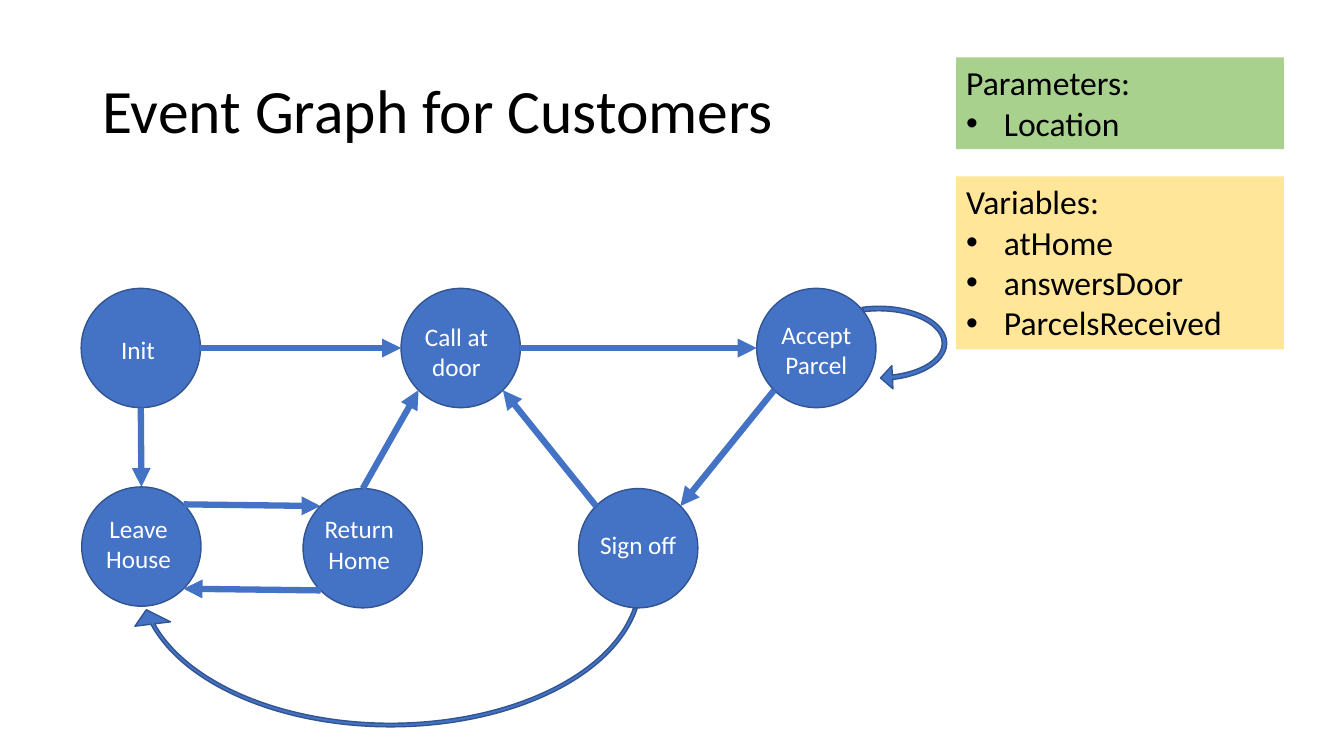
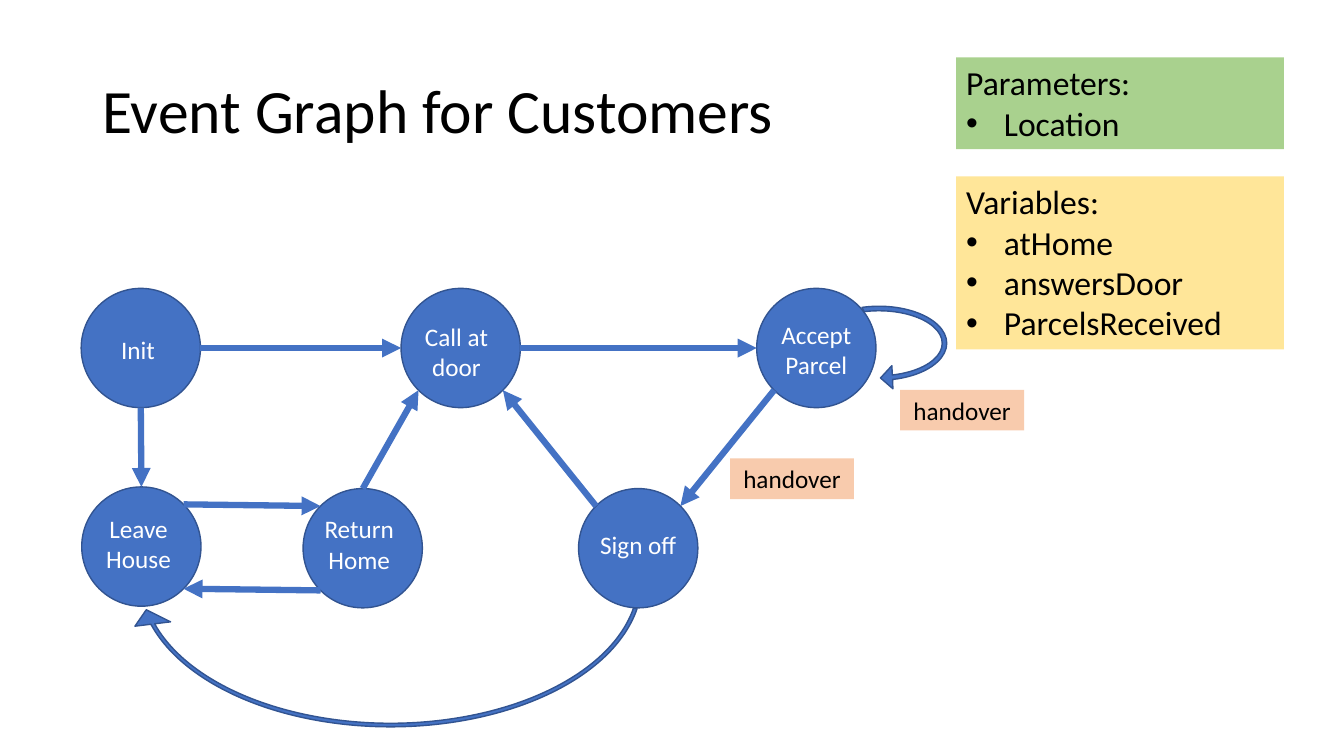
from math import cos, radians, sin

from lxml import etree
from pptx import Presentation
from pptx.dml.color import RGBColor
from pptx.enum.shapes import MSO_CONNECTOR, MSO_SHAPE
from pptx.enum.text import MSO_ANCHOR, PP_ALIGN
from pptx.oxml.ns import qn
from pptx.util import Pt

RECT, OVAL, ARC = MSO_SHAPE.RECTANGLE, MSO_SHAPE.OVAL, MSO_SHAPE.CIRCULAR_ARROW
STRAIGHT = MSO_CONNECTOR.STRAIGHT
TOP, MIDDLE = MSO_ANCHOR.TOP, MSO_ANCHOR.MIDDLE
LEFT, CENTER = PP_ALIGN.LEFT, PP_ALIGN.CENTER

FONT = "Calibri"
COLORS = {
    "text": "000000",
    "node_text": "FFFFFF",
    "node": "4472C4",
    "outline": "325491",
    "parameters": "A9D18E",
    "variables": "FFE699",
    "label": "F8CBAD",
}

TITLE = "Event Graph for Customers"
TITLE_BOX = (66, 29, 828, 104)

PANEL_X, PANEL_W = 683, 234
PANELS = [
    ("parameters", 41, 65.5, "Parameters:", ["Location"]),
    ("variables", 126, 123.5, "Variables:", ["atHome", "answersDoor", "ParcelsReceived"]),
]

DIAMETER = 85.2
NODES = {
    "Init": {"at": (58, 206), "shift": (-2, 1)},
    "Call at door": {"at": (286.5, 206), "shift": (-3, 2.5)},
    "Accept Parcel": {"at": (540.5, 206), "shift": (0, 1)},
    "Leave House": {"at": (58.4, 347.8), "shift": (-2, -2)},
    "Return Home": {"at": (216.5, 349), "shift": (-2.5, -3)},
    "Sign off": {"at": (413.3, 349), "shift": (0, -3)},
}

SITES = ["top", "top left", "left", "bottom left",
         "bottom", "bottom right", "right", "top right"]
EDGES = [
    ("Init", "right", "Call at door", "left"),
    ("Call at door", "right", "Accept Parcel", "left"),
    ("Init", "bottom", "Leave House", "top"),
    ("Leave House", "top right", "Return Home", "top left"),
    ("Return Home", "bottom left", "Leave House", "bottom right"),
    ("Return Home", "top", "Call at door", "bottom left"),
    ("Sign off", "top left", "Call at door", "bottom right"),
    ("Accept Parcel", "bottom left", "Sign off", "top right"),
]

LOOPS = [
    ((594.7, 190.1, 66.2, 110.2), 90, (0.049, 11.423, 203.017, 92.887, 0.125)),
    ((87.8, 297.4, 382.3, 233.3), 180, (0.011, 2.126, 209.667, 112.028, 0.055)),
]

LABEL_SIZE = (88.5, 29)
SLIDE_LABELS = [
    [],
    [("handover", 643, 278.5), ("handover", 521.5, 327.5)],
]


def rgb(name):
    return RGBColor.from_string(COLORS[name])


def pts(values):
    return [Pt(v) for v in values]


def add_bullet(p):
    pPr = p._p.get_or_add_pPr()
    pPr.set("marL", str(Pt(27)))
    pPr.set("indent", str(-Pt(27)))
    etree.SubElement(pPr, qn("a:buFont")).set("typeface", "Arial")
    etree.SubElement(pPr, qn("a:buChar")).set("char", "•")


def write(sp, text, bullets=(), size=18, color="text", align=CENTER,
          anchor=TOP, spacing=None):
    tf = sp.text_frame
    tf.word_wrap = True
    tf.vertical_anchor = anchor
    for i, line in enumerate([text, *bullets]):
        p = tf.add_paragraph() if i else tf.paragraphs[0]
        p.alignment = align
        if spacing:
            p.line_spacing = spacing
        if i:
            add_bullet(p)
        r = p.add_run()
        r.text = line
        r.font.name = FONT
        r.font.size = Pt(size)
        r.font.color.rgb = rgb(color)


def add_block(slide, kind, box, fill, outline=None):
    sp = slide.shapes.add_shape(kind, *pts(box))
    sp.shadow.inherit = False
    sp.fill.solid()
    sp.fill.fore_color.rgb = rgb(fill)
    if outline:
        sp.line.color.rgb = rgb(outline)
        sp.line.width = Pt(1)
    else:
        sp.line.fill.background()
    return sp


def add_node(slide, name):
    node = NODES[name]
    dx, dy = node["shift"]
    sp = add_block(slide, OVAL, (*node["at"], DIAMETER, DIAMETER), "node", "outline")
    tf = sp.text_frame
    tf.margin_left, tf.margin_right = Pt(max(0, 2 * dx)), Pt(max(0, -2 * dx))
    tf.margin_top, tf.margin_bottom = Pt(max(0, 2 * dy)), Pt(max(0, -2 * dy))
    write(sp, name, color="node_text", anchor=MIDDLE)
    return sp


def site_point(name, site):
    x, y = NODES[name]["at"]
    angle = radians(90 + 45 * SITES.index(site))
    radius = DIAMETER / 2
    return x + radius * (1 + cos(angle)), y + radius * (1 - sin(angle))


def add_edge(slide, ovals, start, start_site, end, end_site):
    points = site_point(start, start_site) + site_point(end, end_site)
    line = slide.shapes.add_connector(STRAIGHT, *pts(points))
    line.line.color.rgb = rgb("node")
    line.line.width = Pt(4.5)
    etree.SubElement(line.line._get_or_add_ln(), qn("a:tailEnd")).set("type", "triangle")
    etree.SubElement(line._element.spPr, qn("a:effectLst"))
    glue = line._element.find(".//" + qn("p:cNvCxnSpPr"))
    for tag, name, site in (("a:stCxn", start, start_site), ("a:endCxn", end, end_site)):
        link = etree.SubElement(glue, qn(tag))
        link.set("id", str(ovals[name].shape_id))
        link.set("idx", str(SITES.index(site)))


def add_loop(slide, box, rotation, adjustments):
    sp = add_block(slide, ARC, box, "node", "outline")
    sp.rotation = rotation
    for i, value in enumerate(adjustments):
        sp.adjustments[i] = value


def build_slide(prs, labels):
    slide = prs.slides.add_slide(prs.slide_layouts[6])
    title = slide.shapes.add_textbox(*pts(TITLE_BOX))
    write(title, TITLE, size=44, align=LEFT, anchor=MIDDLE, spacing=0.9)
    for fill, y, height, heading, items in PANELS:
        panel = add_block(slide, RECT, (PANEL_X, y, PANEL_W, height), fill)
        write(panel, heading, items, size=24, align=LEFT)
    ovals = {name: add_node(slide, name) for name in NODES}
    for edge in EDGES:
        add_edge(slide, ovals, *edge)
    for loop in LOOPS:
        add_loop(slide, *loop)
    for text, x, y in labels:
        write(add_block(slide, RECT, (x, y, *LABEL_SIZE), "label"), text)


def main():
    prs = Presentation()
    prs.slide_width, prs.slide_height = Pt(960), Pt(540)
    for labels in SLIDE_LABELS:
        build_slide(prs, labels)
    prs.save("out.pptx")


if __name__ == "__main__":
    main()
